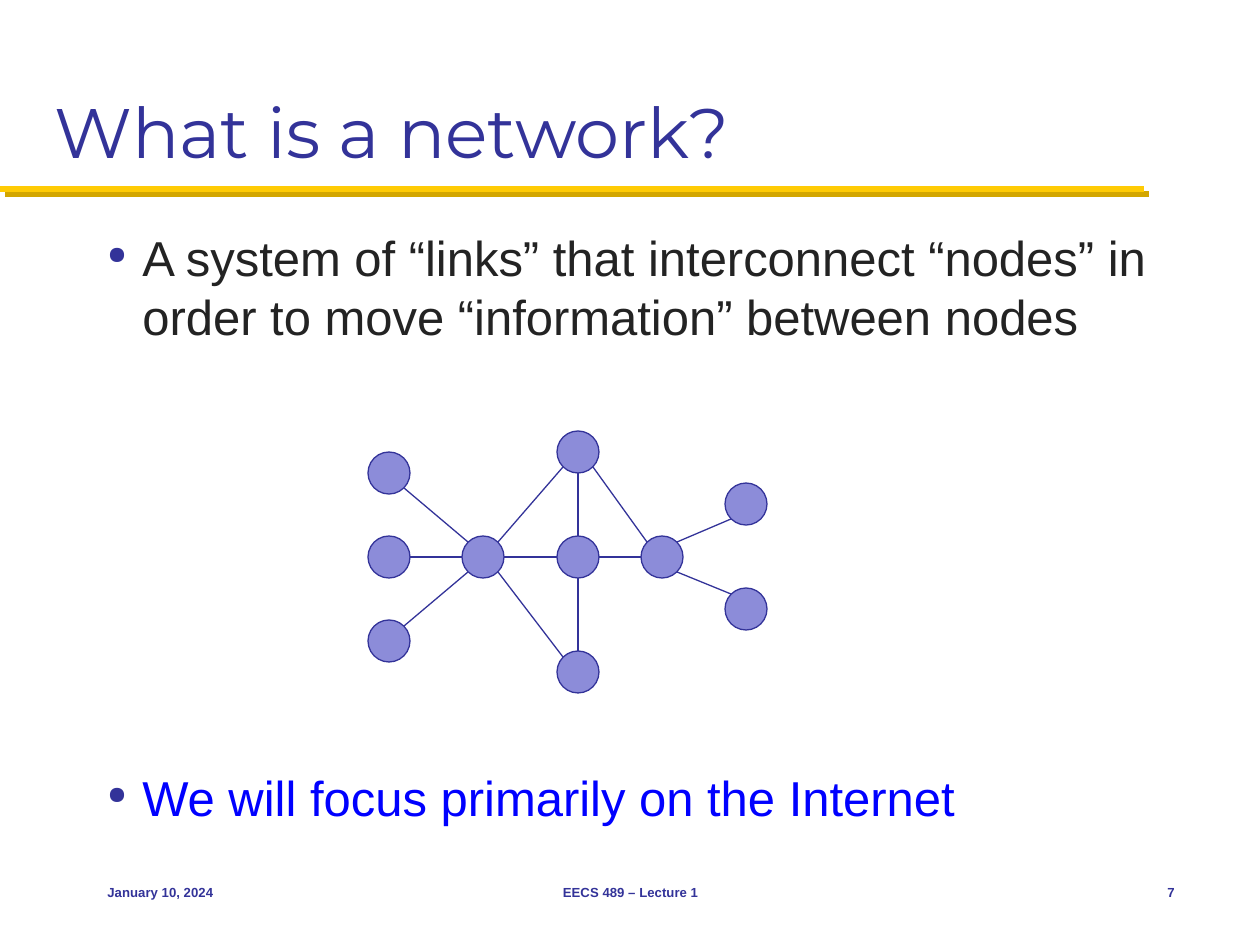
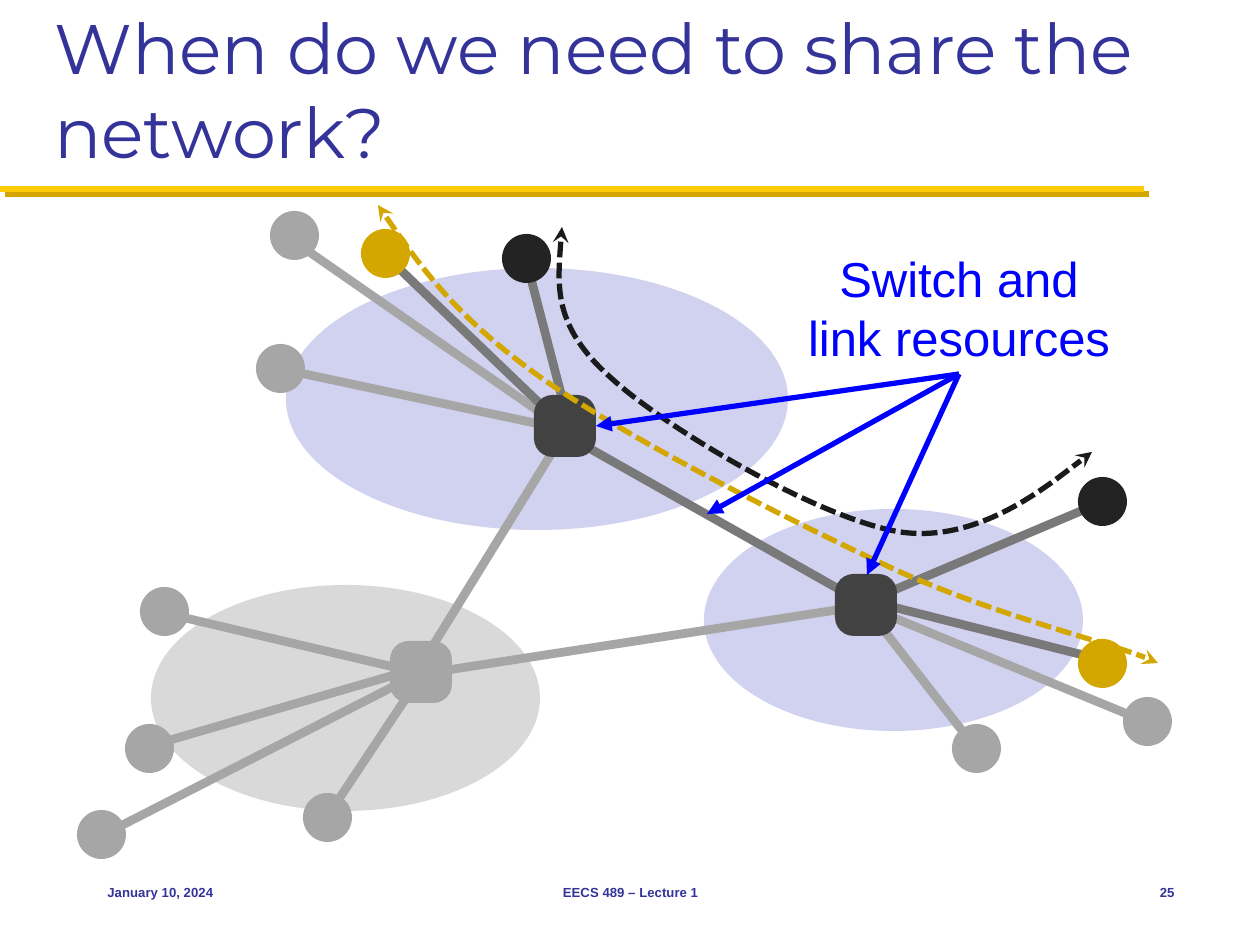
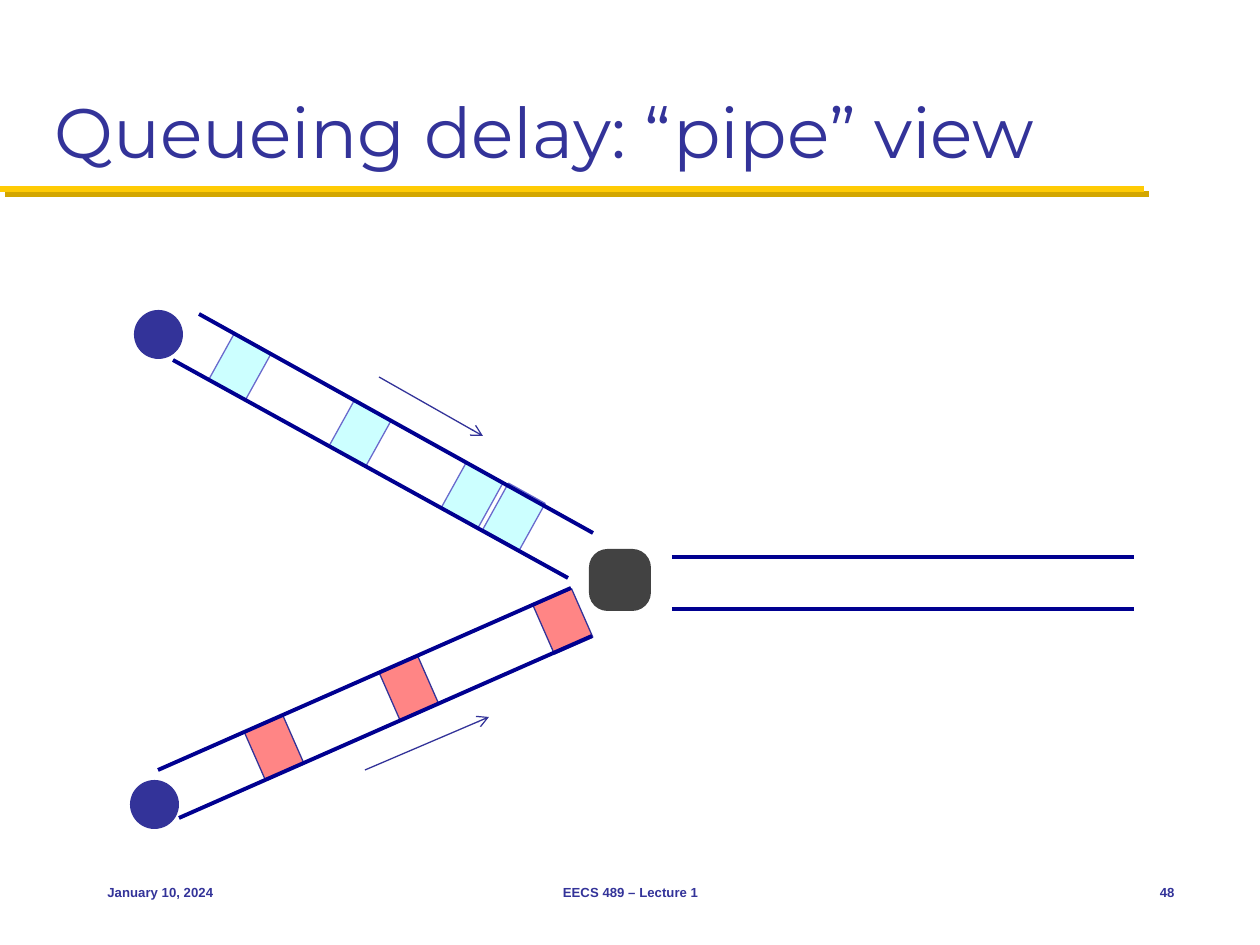
from dataclasses import dataclass
from typing import NamedTuple

from lxml.etree import SubElement
from pptx import Presentation
from pptx.dml.color import RGBColor
from pptx.enum.dml import MSO_LINE
from pptx.enum.shapes import MSO_CONNECTOR, MSO_SHAPE
from pptx.enum.text import MSO_ANCHOR, PP_ALIGN
from pptx.oxml.ns import qn
from pptx.util import Emu, Pt

SCALE = 914400 / 126  # EMU in one px


@dataclass(frozen=True)
class Theme:
    navy: str = "333399"
    pipe: str = "000090"
    blue: str = "0000FF"
    ink: str = "232323"
    trace: str = "1A1A1A"
    maize: str = "FFCB05"
    gold: str = "D3A600"
    node: str = "8C8CD9"
    zone: str = "D1D1F0"
    pale: str = "D9D9D9"
    gray: str = "A6A6A6"
    dark: str = "797979"
    switch: str = "424242"
    cyan: str = "CCFFFF"
    violet: str = "6A6ACD"
    red: str = "FF8585"
    head: str = "Montserrat"
    body: str = "Arial"
    big: float = 40
    mid: float = 28
    small: float = 7.5


T = Theme()


class Box(NamedTuple):
    x: int
    y: int
    w: int
    h: int


class Link(NamedTuple):
    x1: int
    y1: int
    x2: int
    y2: int
    color: str = T.gray


class Dot(NamedTuple):
    x: int
    y: int
    color: str = T.gray


class Curve(NamedTuple):
    color: str
    points: list[tuple[int, int]]


class Pack(NamedTuple):
    x: int
    y: int
    turn: float
    fill: str
    edge: str


def px(n: float) -> Emu:
    return Emu(round(n * SCALE))


def rgb(code: str) -> RGBColor:
    return RGBColor.from_string(code)


# Drawing tools
def style(font, size: float, color: str, face: str = T.body, bold: bool = False) -> None:
    font.size = Pt(size)
    font.name = face
    font.bold = bold
    font.color.rgb = rgb(color)


def frame(slide, box: Box, anchor=MSO_ANCHOR.TOP):
    text = slide.shapes.add_textbox(*map(px, box)).text_frame
    text.word_wrap = True
    text.vertical_anchor = anchor
    return text


def label(slide, box: Box, text: str, size: float, color: str, face: str = T.body,
          align=PP_ALIGN.LEFT, anchor=MSO_ANCHOR.MIDDLE, bold: bool = False) -> None:
    area = frame(slide, box, anchor)
    area.text = text
    para = area.paragraphs[0]
    para.alignment = align
    style(para.runs[0].font, size, color, face, bold)


def shape(slide, kind, box: Box, fill: str, edge: str = "", turn: float = 0):
    item = slide.shapes.add_shape(kind, *map(px, box))
    item.shadow.inherit = False
    item.fill.solid()
    item.fill.fore_color.rgb = rgb(fill)
    item.rotation = turn
    if edge:
        item.line.color.rgb = rgb(edge)
        item.line.width = Pt(0.75)
    else:
        item.line.fill.background()
    return item


def disc(slide, dot: Dot, size: int = 49, edge: str = "") -> None:
    box = Box(dot.x - size // 2, dot.y - size // 2, size, size)
    shape(slide, MSO_SHAPE.OVAL, box, dot.color, edge)


def switch(slide, dot: Dot) -> None:
    item = shape(slide, MSO_SHAPE.ROUNDED_RECTANGLE, Box(dot.x - 31, dot.y - 31, 62, 62), dot.color)
    item.adjustments[0] = 0.3


def tip(item, kind: str, *ends: str) -> None:
    line = item.element.spPr.find(qn("a:ln"))
    for end in ends:
        SubElement(line, qn(f"a:{end}End"), type=kind)


def wire(slide, link: Link, width: float, head: str = ""):
    item = slide.shapes.add_connector(MSO_CONNECTOR.STRAIGHT, *map(px, link[:4]))
    item.line.color.rgb = rgb(link.color)
    item.line.width = Pt(width)
    if head:
        tip(item, head, "tail")
    return SubElement(item.element.spPr, qn("a:effectLst"))


def trace(slide, curve: Curve) -> None:
    first, *rest = [(px(x), px(y)) for x, y in curve.points]
    maker = slide.shapes.build_freeform(*first)
    maker.add_line_segments(rest, close=False)
    item = maker.convert_to_shape()
    # Each run of three points becomes one cubic curve
    steps = list(item.element.iter(qn("a:lnTo")))
    for i in range(0, len(steps), 3):
        bend = SubElement(steps[i].getparent(), qn("a:cubicBezTo"))
        for step in steps[i:i + 3]:
            bend.append(step[0])
            step.getparent().remove(step)
    item.shadow.inherit = False
    item.fill.background()
    item.line.color.rgb = rgb(curve.color)
    item.line.width = Pt(3)
    item.line.dash_style = MSO_LINE.SQUARE_DOT
    tip(item, "stealth", "head", "tail")


def bullet(para, text: str, color: str) -> None:
    para.text = text
    props = para._p.get_or_add_pPr()
    props.set("marL", str(px(35)))
    props.set("indent", str(-px(35)))
    SubElement(SubElement(props, qn("a:buClr")), qn("a:srgbClr"), val=T.navy)
    SubElement(props, qn("a:buSzPct"), val="50000")
    SubElement(props, qn("a:buChar"), char="●")
    style(para.runs[0].font, T.mid, color)


# Parts that all slides share
def start(deck, title: str, page: int):
    slide = deck.slides.add_slide(deck.slide_layouts[6])
    glow = wire(slide, Link(0, 189, 1144, 189, T.maize), 3.5)
    cast = SubElement(glow, qn("a:outerShdw"), dist=str(Pt(4.2)), dir="2700000",
                      algn="ctr", rotWithShape="0")
    SubElement(cast, qn("a:srgbClr"), val=T.gold)
    label(slide, Box(42, 21, 1176, 158), title, T.big, T.navy, T.head, anchor=MSO_ANCHOR.BOTTOM)
    for x, width, text, align in (
        (95, 262, "January 10, 2024", PP_ALIGN.LEFT),
        (431, 399, "EECS 489 – Lecture 1", PP_ALIGN.CENTER),
        (1103, 84, str(page), PP_ALIGN.RIGHT),
    ):
        label(slide, Box(x, 861, width, 63), text, T.small, T.navy, align=align, bold=True)
    return slide


# Slide 1: nodes and links
NODES = {
    "in1": (389, 473), "in2": (389, 557), "in3": (389, 641),
    "west": (483, 557), "mid": (578, 557), "east": (662, 557),
    "north": (578, 452), "south": (578, 672),
    "out1": (746, 504), "out2": (746, 609),
}
PAIRS = [
    ("in1", "west"), ("in2", "west"), ("in3", "west"), ("south", "mid"),
    ("mid", "north"), ("west", "mid"), ("east", "mid"), ("east", "out1"),
    ("east", "out2"), ("west", "north"), ("west", "south"), ("north", "east"),
]


def join(one: tuple[int, int], two: tuple[int, int]) -> Link:
    """Link the rims of two nodes, straight or at their corners."""
    dx, dy = ((b > a) - (b < a) for a, b in zip(one, two))
    rim = 15 if dx and dy else 21
    return Link(one[0] + dx * rim, one[1] + dy * rim,
                two[0] - dx * rim, two[1] - dy * rim, T.navy)


def network(deck) -> None:
    slide = start(deck, "What is a network?", 7)
    text = frame(slide, Box(95, 221, 1092, 609))
    bullet(text.paragraphs[0], "A system of “links” that interconnect “nodes” in order "
           "to move “information” between nodes", T.ink)
    last = text.add_paragraph()
    bullet(last, "We will focus primarily on the Internet", T.blue)
    last.space_before = Pt(241.5)
    for spot in NODES.values():
        disc(slide, Dot(*spot, T.node), 42, T.navy)
    for one, two in PAIRS:
        wire(slide, join(NODES[one], NODES[two]), 0.75)


# Slide 2: shared switches and links
ZONES = [
    (Box(704, 509, 379, 222), T.zone),
    (Box(286, 268, 502, 262), T.zone),
    (Box(151, 585, 389, 226), T.pale),
]
LINKS = [
    Link(528, 267, 571, 432, T.dark), Link(1149, 723, 863, 605),
    Link(412, 677, 97, 838), Link(281, 369, 558, 428),
    Link(160, 612, 415, 672), Link(420, 677, 331, 811),
    Link(295, 242, 554, 422), Link(386, 256, 558, 421, T.dark),
    Link(146, 747, 415, 669), Link(1100, 503, 861, 604, T.dark),
    Link(869, 611, 974, 746), Link(1099, 659, 869, 601, T.dark),
    Link(557, 430, 867, 605, T.dark), Link(566, 430, 421, 665),
    Link(869, 605, 422, 674),
]
HOSTS = [
    Dot(280, 368), Dot(164, 611), Dot(327, 817), Dot(294, 235),
    Dot(385, 253, T.gold), Dot(149, 748), Dot(1102, 501, T.ink), Dot(976, 748),
    Dot(1102, 663, T.gold), Dot(101, 834), Dot(1147, 721), Dot(526, 258, T.ink),
]
HUBS = [Dot(565, 426, T.switch), Dot(421, 672), Dot(866, 605, T.switch)]
FLOWS = [
    Curve(T.trace, [(562, 227), (558, 277), (553, 326), (610, 377), (665, 428),
                    (819, 519), (900, 532), (980, 544), (1092, 452), (1092, 452)]),
    Curve(T.gold, [(378, 205), (417, 262), (457, 318), (543, 379), (630, 440),
                   (793, 522), (896, 570), (998, 616), (1125, 646), (1158, 663)]),
]


def sharing(deck) -> None:
    slide = start(deck, "When do we need to share the network?", 25)
    for box, fill in ZONES:
        shape(slide, MSO_SHAPE.OVAL, box, fill)
    for link in LINKS:
        wire(slide, link, 5)
    for host in HOSTS:
        disc(slide, host)
    for hub in HUBS:
        switch(slide, hub)
    for flow in FLOWS:
        trace(slide, flow)
    label(slide, Box(794, 242, 330, 131), "Switch and link resources", T.mid, T.blue,
          align=PP_ALIGN.CENTER, anchor=MSO_ANCHOR.TOP)
    for goal in ((596, 426), (867, 575), (707, 514)):
        wire(slide, Link(959, 374, *goal, T.blue), 3, "triangle")


# Slide 3: packets in pipes
PACKS = [
    *(Pack(x, y, 29, T.cyan, T.violet)
      for x, y in ((493, 490), (451, 469), (339, 407), (219, 340))),
    *(Pack(x, y, 336.3, T.red, T.navy) for x, y in ((253, 721), (542, 595), (388, 662))),
]
PIPES = [
    (672, 557, 1134, 557), (672, 609, 1134, 609),
    (199, 314, 593, 533), (173, 360, 568, 578),
    (158, 770, 571, 588), (179, 818, 592, 636),
]


def queueing(deck) -> None:
    slide = start(deck, "Queueing delay: “pipe” view", 48)
    for pack in PACKS:
        shape(slide, MSO_SHAPE.RECTANGLE, Box(pack.x, pack.y, 42, 53),
              pack.fill, pack.edge, pack.turn)
    for spot in ((158, 334), (154, 804)):
        disc(slide, Dot(*spot, T.navy))
    switch(slide, Dot(620, 580, T.switch))
    for ends in ((379, 377, 483, 436), (365, 770, 489, 717)):
        wire(slide, Link(*ends, T.navy), 0.75, "arrow")
    for ends in PIPES:
        wire(slide, Link(*ends, T.pipe), 2.25)


def main() -> None:
    deck = Presentation()
    deck.slide_width, deck.slide_height = px(1260), px(945)
    for build in (network, sharing, queueing):
        build(deck)
    deck.save("out.pptx")


if __name__ == "__main__":
    main()
